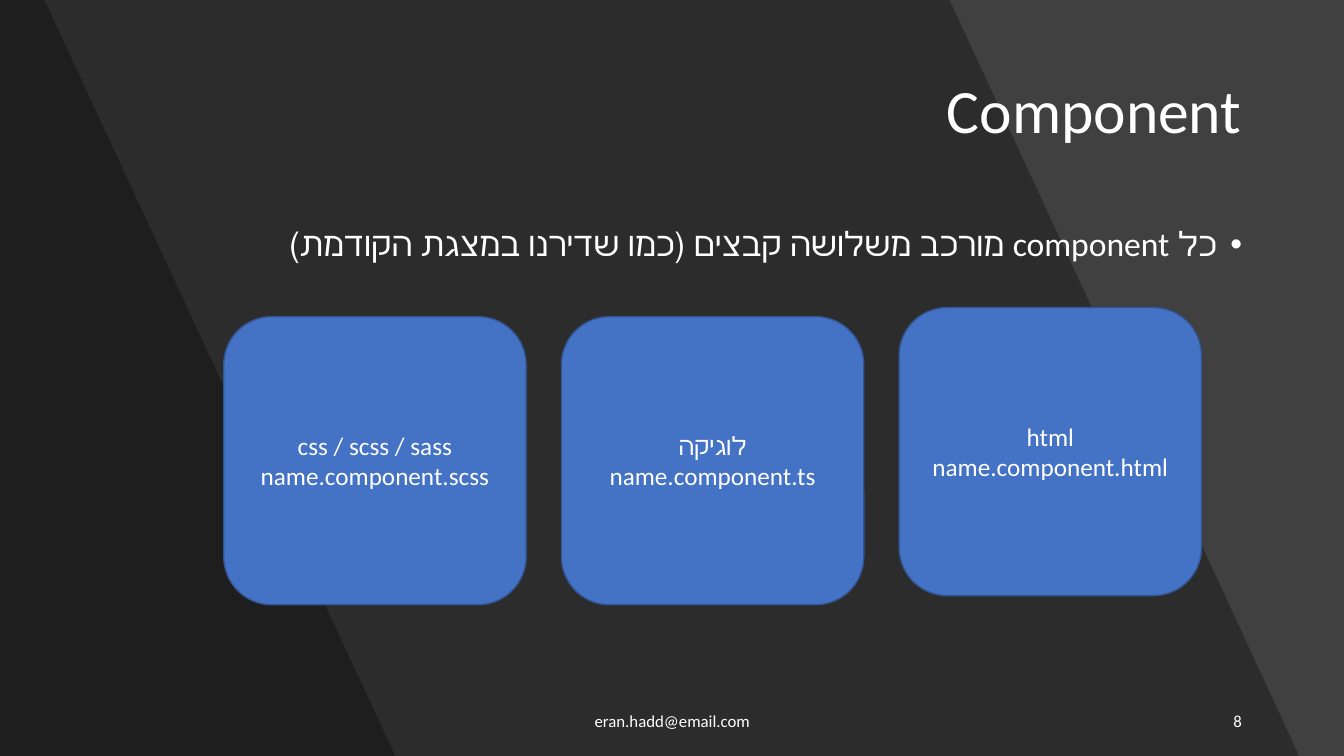
from dataclasses import dataclass
from typing import NamedTuple

import lxml.etree
import pptx
import pptx.dml.color
import pptx.enum.shapes
import pptx.enum.text
import pptx.oxml.ns
import pptx.util

Cm = pptx.util.Cm
Pt = pptx.util.Pt
RGB = pptx.dml.color.RGBColor.from_string
Align = pptx.enum.text.PP_ALIGN
Anchor = pptx.enum.text.MSO_ANCHOR
qn = pptx.oxml.ns.qn


class Box(NamedTuple):
    left: int
    top: int
    width: int
    height: int


@dataclass(frozen=True)
class Theme:
    font: str = "Calibri"
    background: str = "404040"
    shade: str = "000000"
    shade_alpha: int = 30000
    text: str = "FFFFFF"
    card: str = "4472C4"
    card_line: str = "325491"
    title_size: int = 44
    body_size: int = 24
    card_size: int = 18
    footer_size: int = 12


THEME = Theme()


def write(shape, text, *, size, align, anchor=Anchor.MIDDLE, rtl=False,
          bullet=False, line_spacing=None, space_before=0):
    frame = shape.text_frame
    frame.word_wrap = True
    frame.vertical_anchor = anchor
    frame.text = text
    for paragraph in frame.paragraphs:
        paragraph.alignment = align
        paragraph.space_before = Pt(space_before)
        if line_spacing:
            paragraph.line_spacing = line_spacing
        properties = paragraph.runs[0].font
        properties.name = THEME.font
        properties.size = Pt(size)
        properties.color.rgb = RGB(THEME.text)
        settings = paragraph._p.get_or_add_pPr()
        if rtl:
            settings.set("rtl", "1")
        if bullet:
            settings.set("marL", str(Cm(0.64)))
            settings.set("indent", str(-Cm(0.64)))
            lxml.etree.SubElement(settings, qn("a:buFont")).set("typeface", "Arial")
            lxml.etree.SubElement(settings, qn("a:buChar")).set("char", "•")


def add_text(slide, box, text, **style):
    write(slide.shapes.add_textbox(*box), text, **style)


def add_backdrop(slide, box):
    slide.background.fill.solid()
    slide.background.fill.fore_color.rgb = RGB(THEME.background)
    bottom = box.top + box.height
    for top_edge, bottom_edge in ((23.93, 32.74), (1.12, 9.96)):
        outline = slide.shapes.build_freeform(box.left, box.top)
        outline.add_line_segments([
            (box.left + Cm(top_edge), box.top),
            (box.left + Cm(bottom_edge), bottom),
            (box.left, bottom),
        ])
        band = outline.convert_to_shape()
        band.shadow.inherit = False
        band.line.fill.background()
        band.fill.solid()
        band.fill.fore_color.rgb = RGB(THEME.shade)
        color = band.element.spPr.find(qn("a:solidFill"))[0]
        lxml.etree.SubElement(color, qn("a:alpha")).set("val", str(THEME.shade_alpha))


def add_title(slide, box, text):
    title = slide.shapes.title
    title.left, title.top, title.width, title.height = box
    write(title, text, size=THEME.title_size, align=Align.RIGHT, rtl=True,
          line_spacing=0.9)
    slide.shapes.element.append(title.element)


def add_file_cards(slide, box, files):
    card_width, lift = Cm(7.62), Cm(0.23)
    step = (box.width - card_width) // (len(files) - 1)
    for column, (role, file_name) in enumerate(files):
        raised = lift if column == len(files) - 1 else 0
        card = slide.shapes.add_shape(
            pptx.enum.shapes.MSO_SHAPE.ROUNDED_RECTANGLE,
            box.left + column * step, box.top + lift - raised,
            card_width, box.height - lift)
        card.shadow.inherit = False
        card.fill.solid()
        card.fill.fore_color.rgb = RGB(THEME.card)
        card.line.color.rgb = RGB(THEME.card_line)
        card.line.width = Pt(1)
        write(card, f"{role}\n{file_name}", size=THEME.card_size, align=Align.CENTER)


def add_footer(slide, box, contact, number):
    contact_box = Box(box.left, box.top, Cm(11.43), box.height)
    number_width = Cm(7.62)
    number_box = Box(box.left + box.width - number_width, box.top,
                     number_width, box.height)
    add_text(slide, contact_box, contact, size=THEME.footer_size, align=Align.CENTER)
    add_text(slide, number_box, number, size=THEME.footer_size, align=Align.RIGHT)


def add_component_slide(deck, box):
    def inside(left, top, width, height):
        return Box(box.left + Cm(left), box.top + Cm(top), Cm(width), Cm(height))

    slide = deck.slides.add_slide(deck.slide_layouts.get_by_name("Title Only"))
    add_backdrop(slide, box)
    add_title(slide, inside(2.31, 1.02, 29.24, 3.68), "Component")
    add_text(slide, inside(2.34, 5.61, 29.21, 11.53),
             "כל component מורכב משלושה קבצים (כמו שדירנו במצגת הקודמת)",
             size=THEME.body_size, align=Align.RIGHT, anchor=Anchor.TOP, rtl=True,
             bullet=True, line_spacing=0.9, space_before=10)
    add_footer(slide, inside(11.23, 17.65, 20.32, 1.02), "eran.hadd@email.com", "8")
    add_file_cards(slide, inside(5.64, 7.75, 24.64, 7.49), (
        ("css / scss / sass", "name.component.scss"),
        ("לוגיקה", "name.component.ts"),
        ("html", "name.component.html"),
    ))


deck = pptx.Presentation()
deck.slide_width, deck.slide_height = Cm(33.87), Cm(19.05)
add_component_slide(deck, Box(0, 0, deck.slide_width, deck.slide_height))
deck.save("out.pptx")
